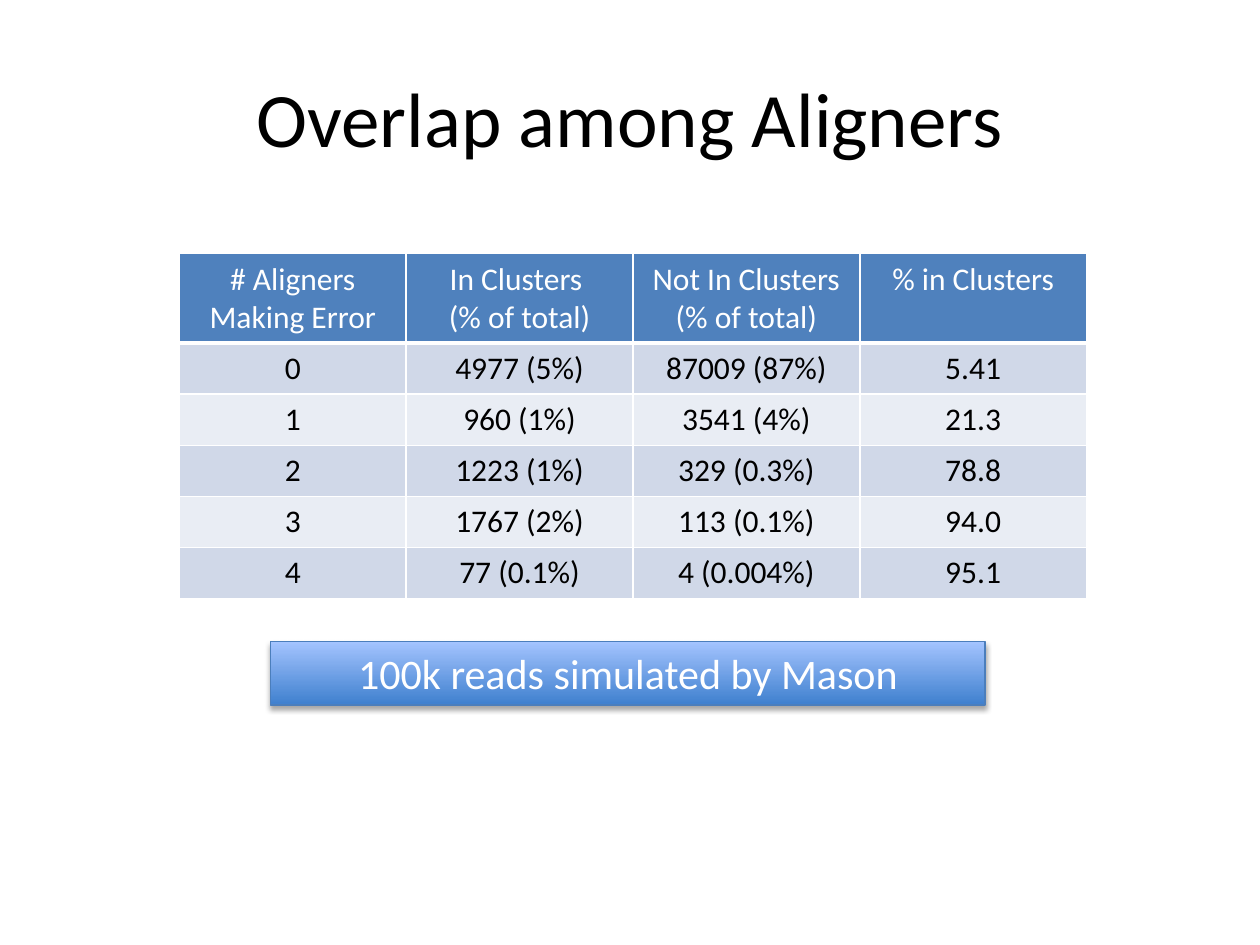
"""Build a slide with a table of errors shared among aligners."""
from lxml.etree import SubElement
from pptx import Presentation
from pptx.dml.color import RGBColor
from pptx.enum.shapes import MSO_SHAPE as Shape
from pptx.enum.text import MSO_ANCHOR as Anchor, PP_ALIGN as Align
from pptx.oxml.ns import qn
from pptx.util import Pt

FONT = "Calibri"
WHITE, BLACK = "FFFFFF", "000000"
HEADER_FILL = "4F81BD"
BAND_FILLS = ("E9EDF4", "D0D8E8")
COLUMN_WIDTH, HEADER_HEIGHT, ROW_HEIGHT = 129.6, 51.1, 29.2
ROWS = [
    ("# Aligners Making Error", "In Clusters \n(% of total)",
     "Not In Clusters\n(% of total)", "% in Clusters"),
    ("0", "4977 (5%)", "87009 (87%)", "5.41"),
    ("1", "960 (1%)", "3541 (4%)", "21.3"),
    ("2", "1223 (1%)", "329 (0.3%)", "78.8"),
    ("3", "1767 (2%)", "113 (0.1%)", "94.0"),
    ("4", "77 (0.1%)", "4 (0.004%)", "95.1"),
]


def color(hex_value):
    return RGBColor.from_string(hex_value)


def write_text(text_frame, text, size, hex_value):
    text_frame.text = text
    text_frame.word_wrap = True
    for paragraph in text_frame.paragraphs:
        paragraph.alignment = Align.CENTER
        paragraph.font.name = FONT
        paragraph.font.size = Pt(size)
        paragraph.font.bold = False
        paragraph.font.color.rgb = color(hex_value)


def add_title(slide, text):
    title = slide.shapes.add_textbox(Pt(36), Pt(21.6), Pt(648), Pt(90))
    write_text(title.text_frame, text, 44, BLACK)
    title.text_frame.vertical_anchor = Anchor.MIDDLE


def set_borders(cell, bottom_width):
    properties = cell._tc.get_or_add_tcPr()
    for side, width in (("L", 1), ("R", 1), ("T", 1), ("B", bottom_width)):
        line = SubElement(properties, qn(f"a:ln{side}"), w=str(Pt(width)))
        fill = SubElement(line, qn("a:solidFill"))
        SubElement(fill, qn("a:srgbClr"), val=WHITE)


def add_table(slide, rows):
    row_count, column_count = len(rows), len(rows[0])
    height = HEADER_HEIGHT + ROW_HEIGHT * (row_count - 1)
    frame = slide.shapes.add_table(
        row_count, column_count, Pt(102.5), Pt(145),
        Pt(COLUMN_WIDTH * column_count), Pt(height))
    table = frame.table
    for column in table.columns:
        column.width = Pt(COLUMN_WIDTH)
    for row_index, texts in enumerate(rows):
        is_header = row_index == 0
        table.rows[row_index].height = Pt(HEADER_HEIGHT if is_header else ROW_HEIGHT)
        for column_index, text in enumerate(texts):
            cell = table.cell(row_index, column_index)
            write_text(cell.text_frame, text, 18, WHITE if is_header else BLACK)
            set_borders(cell, 3 if is_header else 1)
            cell.fill.solid()
            cell.fill.fore_color.rgb = color(
                HEADER_FILL if is_header else BAND_FILLS[row_index % 2])


def add_shadow(shape):
    shape.shadow.inherit = False
    effects = shape._element.spPr.find(qn("a:effectLst"))
    shadow = SubElement(effects, qn("a:outerShdw"), blurRad=str(Pt(3.1)),
                        dist=str(Pt(1.8)), dir="5400000", rotWithShape="0")
    shade = SubElement(shadow, qn("a:srgbClr"), val=BLACK)
    SubElement(shade, qn("a:alpha"), val="35000")


def add_banner(slide, text):
    banner = slide.shapes.add_shape(
        Shape.RECTANGLE, Pt(154.8), Pt(366.5), Pt(408.2), Pt(36.35))
    banner.fill.gradient()
    banner.fill.gradient_angle = 90
    for stop, hex_value in zip(banner.fill.gradient_stops, ("3F80CE", "A4C4FF")):
        stop.color.rgb = color(hex_value)
    banner.line.color.rgb = color("4B7EBC")
    banner.line.width = Pt(0.75)
    add_shadow(banner)
    write_text(banner.text_frame, text, 24, WHITE)
    banner.text_frame.vertical_anchor = Anchor.MIDDLE


def main():
    presentation = Presentation()
    presentation.slide_width, presentation.slide_height = Pt(720), Pt(540)
    slide = presentation.slides.add_slide(presentation.slide_layouts[6])
    add_title(slide, "Overlap among Aligners")
    add_table(slide, ROWS)
    add_banner(slide, "100k reads simulated by Mason")
    presentation.save("out.pptx")


main()
